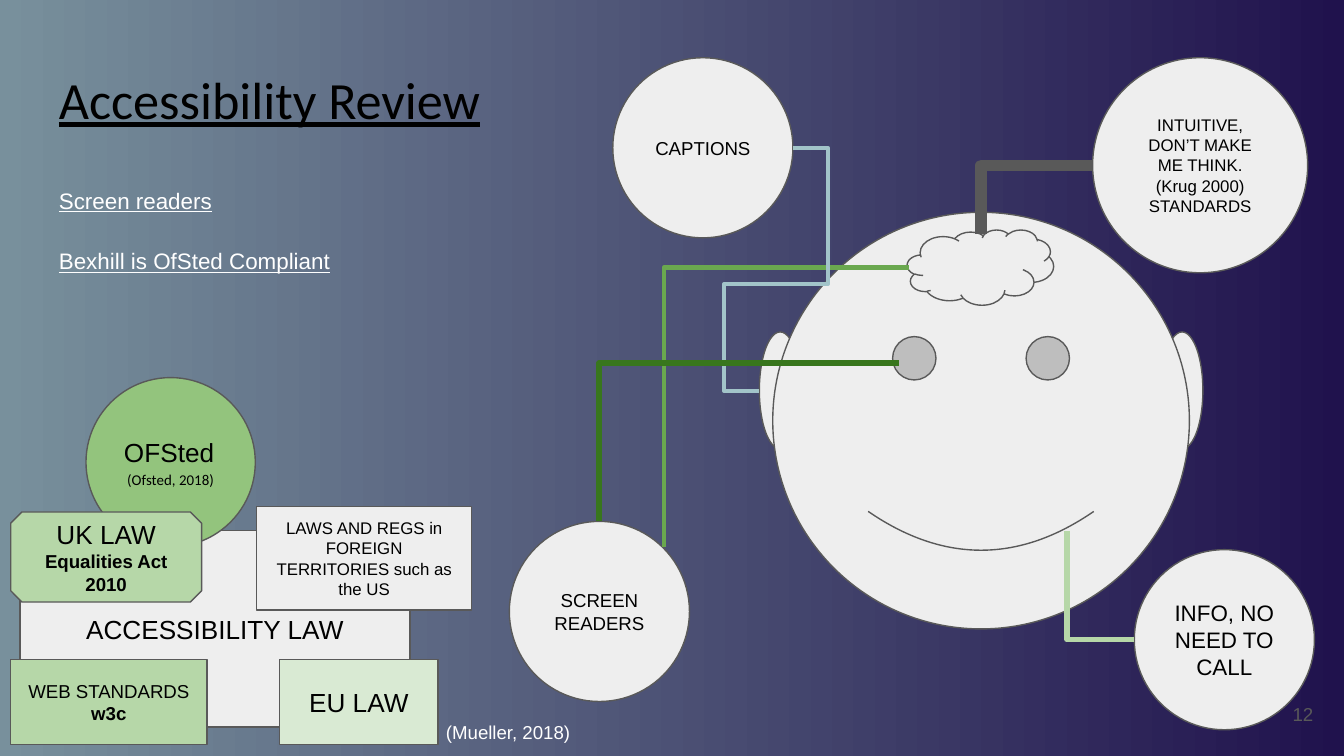
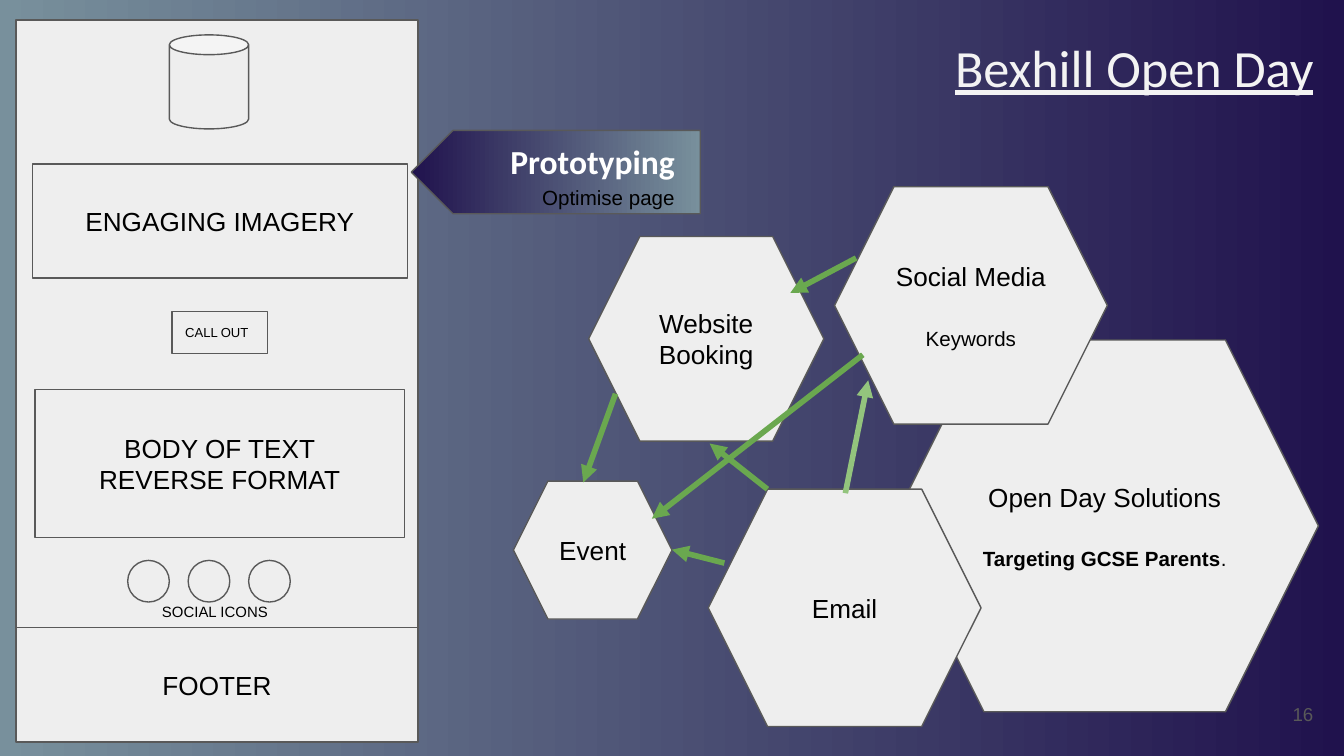
from dataclasses import dataclass
from lxml.etree import SubElement
from pptx import Presentation
from pptx.dml.color import RGBColor
from pptx.enum.shapes import MSO_CONNECTOR as Link, MSO_SHAPE as Form
from pptx.enum.text import MSO_ANCHOR as Anchor, PP_ALIGN as Align
from pptx.oxml.ns import qn
from pptx.util import Inches, Pt

BLACK = RGBColor(0x00, 0x00, 0x00)
WHITE = RGBColor(0xFF, 0xFF, 0xFF)
CLOUD = RGBColor(0xF3, 0xF3, 0xF3)
PALE = RGBColor(0xEE, 0xEE, 0xEE)
GREY = RGBColor(0x59, 0x59, 0x59)
TEAL = RGBColor(0x78, 0x90, 0x9C)
NAVY = RGBColor(0x20, 0x12, 0x4D)
SKY = RGBColor(0xA2, 0xC4, 0xC9)
MINT = RGBColor(0xD9, 0xEA, 0xD3)
LIME = RGBColor(0xB6, 0xD7, 0xA8)
LEAF = RGBColor(0x93, 0xC4, 0x7D)
GREEN = RGBColor(0x6A, 0xA8, 0x4F)
FOREST = RGBColor(0x38, 0x76, 0x1D)

WIDE, HIGH = Inches(10), Inches(5.625)
COL = WIDE / 10


@dataclass
class Line:
    text: str
    size: float = 14
    color: RGBColor = BLACK
    font: str = "Arial"
    bold: bool = False
    under: bool = False
    align: Align = Align.CENTER
    before: float = 0
    after: float = 0
    lead: float = 1
    tail: str = ""


LEFT, RIGHT = Align.LEFT, Align.RIGHT
BODY = dict(size=12, color=WHITE, under=True, align=LEFT, lead=1.15)

FACE = (5.75, 1.58, 3.1, 3.1)
EAR = (0.31, 0.87)
BUBBLES = [
    (4.46, 4.55, 1.34, [Line("SCREEN READERS", 10)]),
    (5.23, 1.1, 1.34, [Line("CAPTIONS", 10)]),
    (8.93, 1.23, 1.6, [Line("INTUITIVE, DON’T MAKE ME THINK.", 9),
                       Line("(Krug 2000) STANDARDS", 9)]),
    (9.11, 4.76, 1.34, [Line("INFO, NO NEED TO CALL", 12)]),
]
BENDS = [
    ((6.76, 1.99), (4.94, 4.07), GREEN, 2.25, ()),
    ((5.9, 1.1), (5.65, 2.91), SKY, 2.25, (-1.04, 0.56, 2.04)),
    ((8.13, 1.23), (7.3, 1.74), GREY, 6, ()),
    ((8.44, 4.76), (7.94, 3.95), LIME, 3, ()),
    ((6.69, 2.7), (4.46, 3.88), FOREST, 3, ()),
]
LAWS = [
    (Form.RECTANGLE, (0.15, 3.95, 2.9, 1.46), PALE, [Line("ACCESSIBILITY LAW")]),
    (Form.RECTANGLE, (2.08, 4.91, 1.18, 0.63), MINT, [Line("EU LAW")]),
    (Form.RECTANGLE, (0.08, 4.91, 1.46, 0.63), LIME,
     [Line("WEB STANDARDS", 10), Line("w3c", 10, bold=True)]),
    (Form.RECTANGLE, (1.91, 3.77, 1.6, 0.77), PALE,
     [Line("LAWS AND REGS in FOREIGN TERRITORIES such as the US", 9)]),
    (Form.OVAL, (0.64, 2.81, 1.26, 1.26), LEAF,
     [Line("OFSted", align=LEFT, before=16),
      Line("(Ofsted, 2018)", 8, font="Calibri", after=16, lead=1.15)]),
    (Form.OCTAGON, (0.08, 3.81, 1.42, 0.67), LIME,
     [Line("UK LAW"), Line("Equalities Act", 10, bold=True),
      Line("2010", 10, bold=True)]),
]

HEXES = [
    (6.63, 2.53, 3.18, [Line("Open Day Solutions"),
                        Line("Targeting GCSE Parents", 11, bold=True,
                             before=16, lead=1.15, tail=".")]),
    (6.21, 1.39, 2.03, [Line("Social Media"),
                        Line("Keywords", 11, before=16, lead=1.15)]),
    (5.27, 3.64, 2.03, [Line("Email")]),
    (4.38, 1.76, 1.75, [Line("Website Booking")]),
    (3.82, 3.58, 1.18, [Line("Event")]),
]
ARROWS = [
    ((6.29, 3.67), (6.46, 2.83), LEAF),
    ((5.71, 3.64), (5.28, 3.3), GREEN),
    ((4.58, 2.93), (4.34, 3.59), GREEN),
    ((5.39, 4.19), (5, 4.09), GREEN),
    ((6.37, 1.92), (5.88, 2.18), GREEN),
    ((6.42, 2.64), (4.85, 3.86), GREEN),
]
PAGE = [
    (Form.RECTANGLE, (0.12, 0.15, 2.99, 5.36), []),
    (Form.CAN, (1.26, 0.26, 0.59, 0.7), []),
    (Form.RECTANGLE, (0.24, 1.22, 2.79, 0.85), [Line("ENGAGING IMAGERY")]),
    (Form.RECTANGLE, (1.28, 2.32, 0.71, 0.31), [Line("CALL OUT", 7, align=LEFT)]),
    (Form.RECTANGLE, (0.26, 2.9, 2.75, 1.1),
     [Line("BODY OF TEXT"), Line("REVERSE FORMAT")]),
    (Form.RECTANGLE, (0.12, 4.67, 2.99, 0.85), [Line("FOOTER")]),
]


def span(*nums):
    return [round(n * COL) for n in nums]


def blend(fill):
    fill.gradient()
    fill.gradient_angle = 0
    for stop, color in zip(fill.gradient_stops, (TEAL, NAVY)):
        stop.color.rgb = color


def write(shape, lines, anchor):
    frame = shape.text_frame
    frame.word_wrap = True
    frame.vertical_anchor = anchor
    frame.margin_left = frame.margin_right = Inches(0.1)
    frame.margin_top = frame.margin_bottom = Inches(0.1)
    for i, line in enumerate(lines):
        para = frame.add_paragraph() if i else frame.paragraphs[0]
        para.alignment = line.align
        para.line_spacing = line.lead
        para.space_before, para.space_after = Pt(line.before), Pt(line.after)
        font = para.font
        font.name, font.size = line.font, Pt(line.size)
        font.bold, font.underline = line.bold, line.under
        font.color.rgb = line.color
        para.add_run().text = line.text
        if line.tail:
            end = para.add_run()
            end.text = line.tail
            end.font.bold = False


def draw(slide, form, box, lines=(), color=PALE, adj=None):
    shape = slide.shapes.add_shape(form, *span(*box))
    shape.shadow.inherit = False
    shape.fill.solid()
    shape.fill.fore_color.rgb = color
    shape.line.color.rgb = GREY
    shape.line.width = Pt(0.75)
    if adj is not None:
        shape.adjustments[0] = adj
    if lines:
        write(shape, lines, Anchor.MIDDLE)
    return shape


def label(slide, box, lines, anchor=Anchor.TOP):
    write(slide.shapes.add_textbox(*span(*box)), lines, anchor)


def join(slide, kind, start, end, color, width):
    link = slide.shapes.add_connector(kind, *span(*start, *end))
    link.line.color.rgb = color
    link.line.width = Pt(width)
    SubElement(link._element.spPr, qn("a:effectLst"))
    return link


def bend(slide, start, end, color, width, turns):
    link = join(slide, Link.ELBOW, start, end, color, width)
    geom = link._element.spPr.find(qn("a:prstGeom"))
    geom.set("prst", f"bentConnector{len(turns) + 2}")
    guides = geom.find(qn("a:avLst"))
    for i, turn in enumerate(turns, 1):
        SubElement(guides, qn("a:gd"), name=f"adj{i}",
                   fmla=f"val {round(turn * 100000)}")


def arrow(slide, start, end, color):
    link = join(slide, Link.STRAIGHT, start, end, color, 3)
    SubElement(link.line._get_or_add_ln(), qn("a:tailEnd"), type="triangle")


def start(deck, title, box, color, align, number):
    slide = deck.slides.add_slide(deck.slide_layouts[6])
    blend(slide.background.fill)
    label(slide, box, [Line(title, 28, color, "Calibri", under=True, align=align)])
    return slide, [Line(number, 10, GREY, align=RIGHT)]


def review(deck):
    slide, number = start(deck, "Accessibility Review", (0.34, 0.4, 9.32, 0.63),
                          BLACK, LEFT, "12")
    label(slide, (0.34, 1.26, 4.07, 1.6),
          [Line("Screen readers", **BODY),
           Line("Bexhill is OfSted Compliant", before=16, after=16, **BODY)])
    for x in (5.65, 8.64):
        draw(slide, Form.OVAL, (x, 2.47, *EAR))
    draw(slide, Form.SMILEY_FACE, FACE, adj=0.05)
    draw(slide, Form.CLOUD, (6.75, 1.71, 1.09, 0.56))
    for x, y, size, lines in BUBBLES:
        draw(slide, Form.OVAL, (x - size / 2, y - size / 2, size, size), lines)
    for row in BENDS:
        bend(slide, *row)
    for form, box, color, lines in LAWS:
        draw(slide, form, box, lines, color,
             0.125 if form == Form.OCTAGON else None)
    label(slide, (3.22, 5.28, 1.34, 0.17),
          [Line("(Mueller, 2018)", 10, WHITE, align=LEFT)])
    label(slide, (9.27, 5.1, 0.6, 0.43), number, Anchor.MIDDLE)


def event(deck):
    slide, number = start(deck, "Bexhill Open Day", (0.12, 0.16, 9.75, 0.63),
                          CLOUD, RIGHT, "16")
    for x, y, size, lines in HEXES:
        draw(slide, Form.HEXAGON, (x, y, size, size * 0.87), lines, adj=0.25)
    for row in ARROWS:
        arrow(slide, *row)
    label(slide, (9.27, 5.1, 0.6, 0.43), number, Anchor.MIDDLE)
    for form, box, lines in PAGE:
        draw(slide, form, box, lines)
    for i in range(3):
        draw(slide, Form.OVAL, (0.95 + i * 0.45, 4.17, 0.31, 0.31))
    label(slide, (0.88, 4.42, 1.44, 0.25), [Line("SOCIAL ICONS", 8)])
    flag = draw(slide, Form.PENTAGON, (3.06, 0.97, 2.15, 0.62))
    flag.rotation = 180
    blend(flag.fill)
    label(slide, (3.37, 0.95, 1.75, 0.62),
          [Line("Prototyping", 18, WHITE, "Calibri", bold=True, align=RIGHT),
           Line("Optimise page", 11, align=RIGHT, lead=1.15)])


def main():
    deck = Presentation()
    deck.slide_width, deck.slide_height = WIDE, HIGH
    review(deck)
    event(deck)
    deck.save("out.pptx")


if __name__ == "__main__":
    main()
